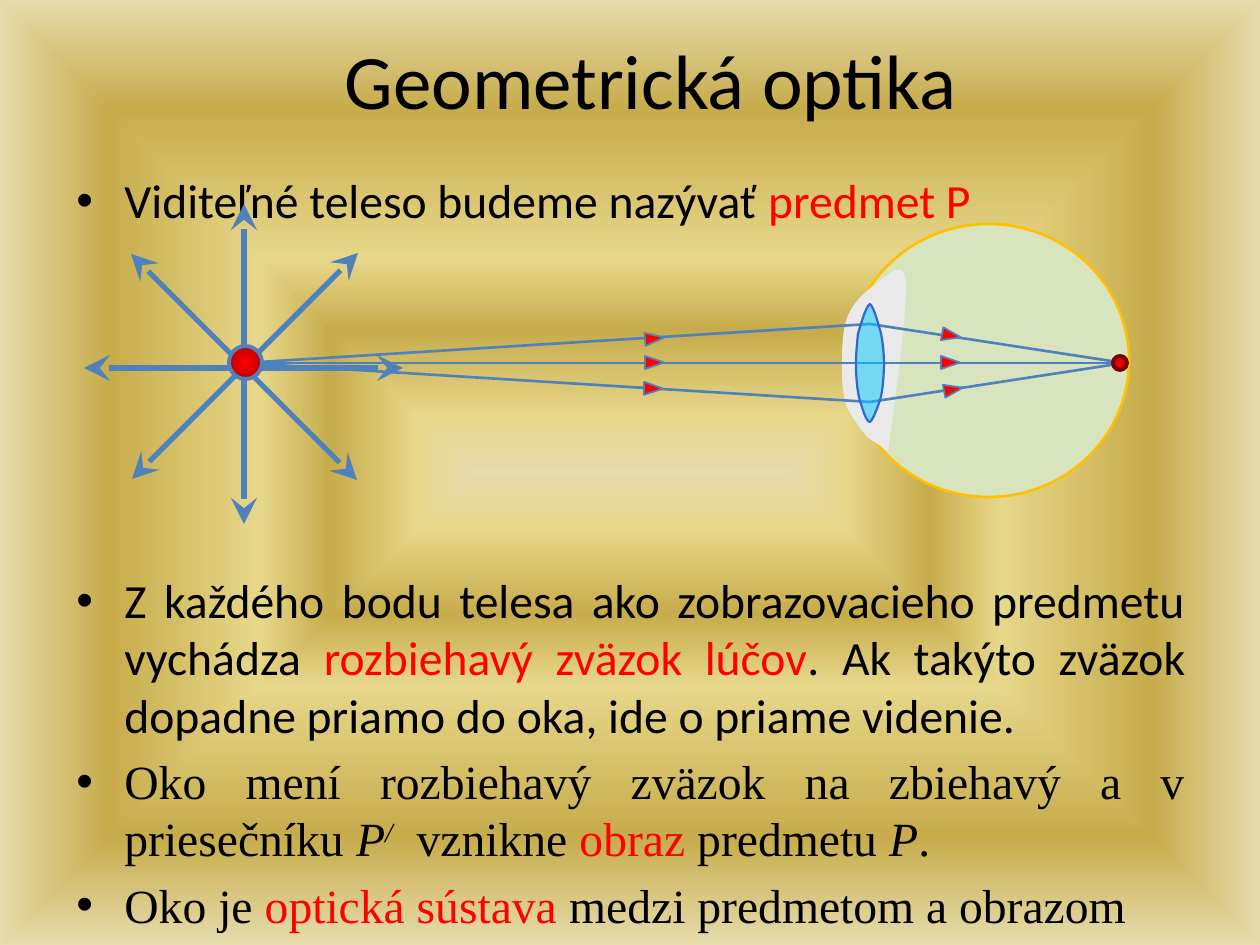
from dataclasses import dataclass
from typing import NamedTuple

from lxml.etree import SubElement
from pptx import Presentation
from pptx.dml.color import RGBColor
from pptx.enum.shapes import MSO_CONNECTOR as Connector, MSO_SHAPE as Preset
from pptx.enum.text import MSO_ANCHOR as Anchor, PP_ALIGN as Align
from pptx.oxml.ns import qn
from pptx.util import Emu, Pt

Point = tuple[int, int]
Stops = tuple[tuple[int, str], ...]


@dataclass(frozen=True)
class Theme:
    text: str = "000000"
    accent: str = "FF0000"
    ray: str = "4F81BD"
    eye: str = "D7E4BD"
    eye_edge: str = "FFC000"
    cornea: str = "EAEAEA"
    lens: str = "00CCFF"
    lens_edge: str = "3366CC"
    image_edge: str = "7A0000"
    ball: Stops = ((0, "FF0000"), (100, "B60000"))
    backdrop: Stops = ((0, "E6DCAC"), (12, "E6D78A"), (30, "C7AC4C"),
                       (45, "E6D78A"), (77, "C7AC4C"), (100, "E6DCAC"))
    sans: str = "Calibri"
    serif: str = "Times New Roman"
    title_size: float = 44
    body_size: float = 27.2


class Span(NamedTuple):
    text: str
    accent: bool = False
    italic: bool = False
    raised: bool = False


class Bullet(NamedTuple):
    spans: tuple[Span, ...]
    font: str
    align: Align = Align.JUSTIFY


class Disc(NamedTuple):
    box: tuple[int, int, int, int]
    fill: str | Stops
    edge: str
    width: float


class Marker(NamedTuple):
    left: int
    top: int
    rotation: float


THEME = Theme()


def px(value: int) -> Emu:
    return Emu(round(value * 914400 / 126))


def color(value: str) -> RGBColor:
    return RGBColor.from_string(value)


def paint_gradient(fill, element, stops: Stops) -> None:
    """Fill with a gradient that spreads from the centre."""
    fill.gradient()
    gradient = next(element.iter(qn("a:gradFill")))
    for child in list(gradient):
        gradient.remove(child)
    stop_list = SubElement(gradient, qn("a:gsLst"))
    for position, value in stops:
        stop = SubElement(stop_list, qn("a:gs"), pos=str(position * 1000))
        SubElement(stop, qn("a:srgbClr"), val=value)
    route = SubElement(gradient, qn("a:path"), path="shape")
    SubElement(route, qn("a:fillToRect"), l="50000", t="50000", r="50000", b="50000")


def style(shape, fill: str | Stops, edge: str | None = None, width: float = 1) -> None:
    shape.shadow.inherit = False
    if isinstance(fill, str):
        shape.fill.solid()
        shape.fill.fore_color.rgb = color(fill)
    else:
        paint_gradient(shape.fill, shape._element, fill)
    if edge is None:
        shape.line.fill.background()
    else:
        shape.line.color.rgb = color(edge)
        shape.line.width = Pt(width)


def add_disc(shapes, disc: Disc) -> None:
    shape = shapes.add_shape(Preset.OVAL, *map(px, disc.box))
    style(shape, disc.fill, disc.edge, disc.width)


def add_ray(shapes, start: Point, end: Point, width: float, arrows: bool = False) -> None:
    line = shapes.add_connector(Connector.STRAIGHT, *map(px, start + end))
    line.line.color.rgb = color(THEME.ray)
    line.line.width = Pt(width)
    if arrows:
        for tag in ("a:headEnd", "a:tailEnd"):
            SubElement(line.line._get_or_add_ln(), qn(tag), type="stealth", w="lg", len="lg")
    SubElement(line._element.spPr, qn("a:effectLst"))


def add_marker(shapes, marker: Marker) -> None:
    shape = shapes.add_shape(Preset.ISOSCELES_TRIANGLE, px(marker.left), px(marker.top), px(13), px(19))
    shape.rotation = marker.rotation
    style(shape, THEME.accent, THEME.ray)


def add_curve(shapes, knots: list[Point]):
    """Closed outline of cubic Bezier pieces, three points per piece."""
    points = [(px(x), px(y)) for x, y in knots]
    builder = shapes.build_freeform(*points[0])
    builder.add_line_segments(points[1:], close=True)
    shape = builder.convert_to_shape()
    segments = list(shape._element.iter(qn("a:lnTo")))
    for first in range(0, len(segments), 3):
        piece = segments[first:first + 3]
        curve = SubElement(piece[0].getparent(), qn("a:cubicBezTo"))
        piece[0].addprevious(curve)
        for segment in piece:
            curve.append(segment[0])
            segment.getparent().remove(segment)
    return shape


def add_text_box(shapes, left: int, top: int, width: int, height: int):
    frame = shapes.add_textbox(px(left), px(top), px(width), px(height)).text_frame
    frame.word_wrap = True
    return frame


def set_font(paragraph, name: str, size: float) -> None:
    paragraph.font.name = name
    paragraph.font.size = Pt(size)
    paragraph.font.color.rgb = color(THEME.text)


def add_bullets(shapes, top: int, height: int, bullets: list[Bullet]) -> None:
    frame = add_text_box(shapes, 64, top, 1134, height)
    for index, bullet in enumerate(bullets):
        paragraph = frame.add_paragraph() if index else frame.paragraphs[0]
        paragraph.alignment = bullet.align
        if index:
            paragraph.space_before = Pt(5.4)
        properties = paragraph._p.get_or_add_pPr()
        properties.set("marL", str(px(48)))
        properties.set("indent", str(-px(48)))
        SubElement(properties, qn("a:buFont"), typeface="Arial")
        SubElement(properties, qn("a:buChar"), char="•")
        set_font(paragraph, bullet.font, THEME.body_size)
        for span in bullet.spans:
            run = paragraph.add_run()
            run.text = span.text
            if span.accent:
                run.font.color.rgb = color(THEME.accent)
            if span.italic:
                run.font.italic = True
            if span.raised:
                run._r.get_or_add_rPr().set("baseline", "30000")


def main() -> None:
    presentation = Presentation()
    presentation.slide_width, presentation.slide_height = px(1260), px(945)
    slide = presentation.slides.add_slide(presentation.slide_layouts[6])
    paint_gradient(slide.background.fill, slide._element, THEME.backdrop)
    shapes = slide.shapes

    # Text
    add_bullets(shapes, 165, 70, [
        Bullet((Span("Viditeľné teleso budeme nazývať "), Span("predmet P", accent=True)), THEME.sans, Align.LEFT)])
    add_bullets(shapes, 565, 380, [
        Bullet((Span("Z každého bodu telesa ako zobrazovacieho predmetu vychádza "),
                Span("rozbiehavý zväzok lúčov", accent=True),
                Span(". Ak takýto zväzok dopadne priamo do oka, ide o priame videnie.")), THEME.sans),
        Bullet((Span("Oko mení rozbiehavý zväzok na zbiehavý a v priesečníku "), Span("P", italic=True),
                Span("/", italic=True, raised=True), Span("  vznikne "), Span("obraz", accent=True),
                Span(" predmetu "), Span("P", italic=True), Span(".")), THEME.serif),
        Bullet((Span("Oko je "), Span("optická sústava", accent=True),
                Span(" medzi predmetom a obrazom")), THEME.serif)])
    title = add_text_box(shapes, 84, 0, 1134, 158)
    title.vertical_anchor = Anchor.MIDDLE
    heading = title.paragraphs[0]
    heading.text = "Geometrická optika"
    heading.alignment = Align.CENTER
    set_font(heading, THEME.sans, THEME.title_size)

    # Eyeball, light spreading from the object, cornea
    add_disc(shapes, Disc((848, 224, 281, 273), THEME.eye, THEME.eye_edge, 1.5))
    star = shapes.add_group_shape().shapes
    for start, end in (((357, 480), (131, 254)), ((132, 479), (358, 253)),
                       ((244, 204), (244, 524)), ((84, 368), (403, 368))):
        add_ray(star, start, end, 3, arrows=True)
    style(add_curve(shapes, [
        (906, 281), (903, 255), (882, 281), (872, 287), (862, 294), (852, 305), (847, 318),
        (842, 331), (842, 354), (842, 369), (842, 383), (843, 396), (847, 407), (852, 418),
        (861, 429), (867, 437), (874, 442), (881, 446), (888, 451), (892, 425), (908, 309), (906, 281)]),
        THEME.cornea)

    # Rays from the object to the lens, then on to the image point
    for focus, markers in (
            ((244, 363), (Marker(648, 353, 90), Marker(648, 329, 84.7), Marker(647, 379, 91.3))),
            ((1124, 363), (Marker(944, 353, 90), Marker(947, 380, 79.4), Marker(945, 326, 100.6)))):
        beam = shapes.add_group_shape().shapes
        for height in (363, 324, 402):
            add_ray(beam, focus, (870, height), 1.5)
        for marker in markers:
            add_marker(beam, marker)

    # Image point, lens, object
    add_disc(shapes, Disc((1113, 356, 14, 14), THEME.ball, THEME.image_edge, 2.25))
    lens = add_curve(shapes, [
        (870, 304), (866, 306), (861, 324), (858, 334), (857, 344), (856, 354), (856, 364),
        (856, 375), (857, 388), (859, 397), (862, 407), (866, 422), (870, 422), (873, 420),
        (878, 407), (881, 397), (883, 388), (884, 374), (884, 364), (884, 353), (883, 343),
        (881, 333), (878, 323), (874, 307), (870, 304)])
    style(lens, THEME.lens, THEME.lens_edge, 1.25)
    SubElement(next(lens._element.spPr.iter(qn("a:srgbClr"))), qn("a:alpha"), val="50000")
    add_disc(shapes, Disc((229, 346, 33, 33), THEME.ball, THEME.ray, 2.25))

    presentation.save("out.pptx")


if __name__ == "__main__":
    main()
